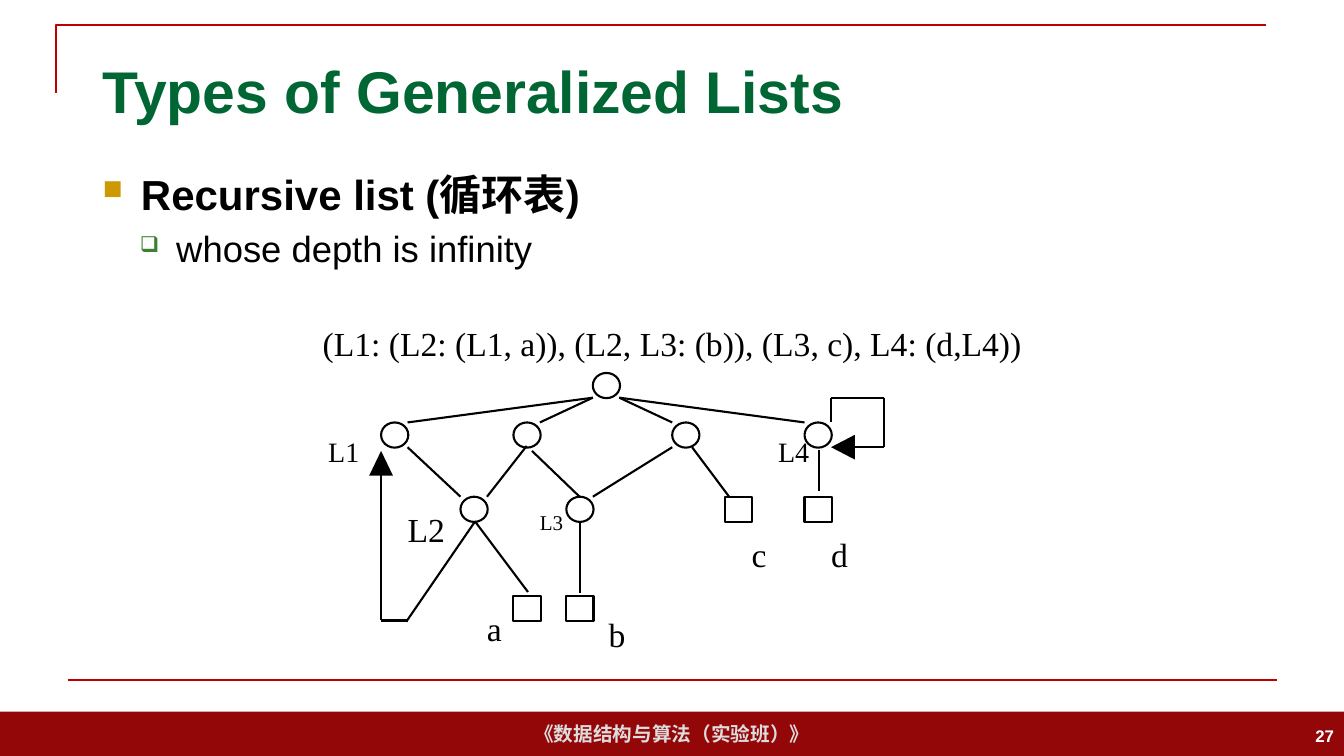
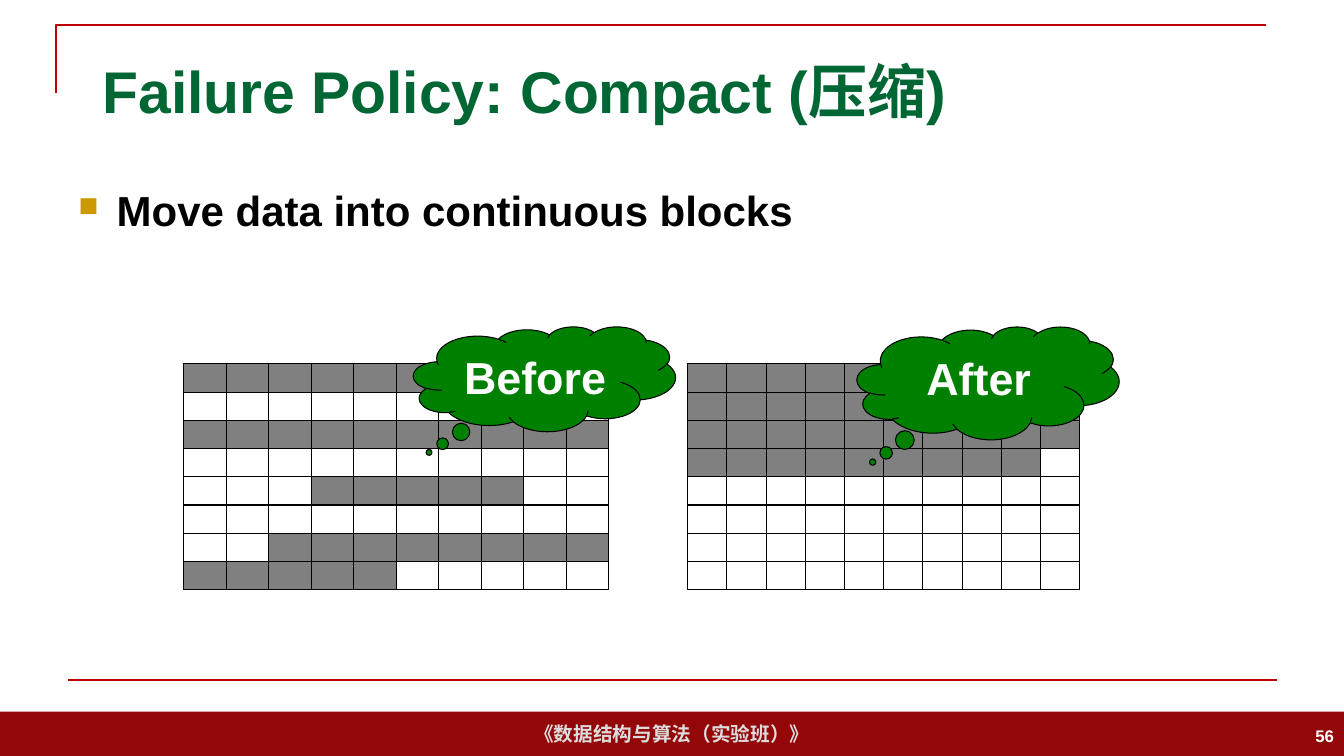
from lxml.etree import SubElement
from pptx import Presentation
from pptx.dml.color import RGBColor
from pptx.enum.shapes import MSO_CONNECTOR, MSO_SHAPE
from pptx.enum.text import MSO_ANCHOR, PP_ALIGN
from pptx.oxml.ns import qn
from pptx.util import Inches, Pt

BLACK = RGBColor(0x00, 0x00, 0x00)
WHITE = RGBColor(0xFF, 0xFF, 0xFF)
RULE_RED = RGBColor(0xC0, 0x00, 0x00)
BAND_RED = RGBColor(0x94, 0x07, 0x09)
BAND_TEXT = RGBColor(0xDD, 0xDD, 0xDD)
TITLE_GREEN = RGBColor(0x00, 0x66, 0x33)
CLOUD_GREEN = RGBColor(0x00, 0x80, 0x00)
BULLET_GOLD = RGBColor(0xCC, 0x99, 0x00)
BULLET_GREEN = RGBColor(0x3B, 0x81, 0x2F)
USED_GRAY = RGBColor(0x80, 0x80, 0x80)

SANS = "Arial"
SERIF = "Times New Roman"
BULLETS = [
    ("■", BULLET_GOLD, 65, 0.38, 0.38, 30, True),
    ("❑", BULLET_GREEN, 60, 0.73, 0.36, 26, False),
]


class Deck:
    def __init__(self):
        self.presentation = Presentation()
        self.presentation.slide_width = Inches(13.33)
        self.presentation.slide_height = Inches(7.5)
        self.slide = None

    def new_slide(self, title, number):
        layout = self.presentation.slide_layouts[6]
        self.slide = self.presentation.slides.add_slide(layout)
        band = self.shape(MSO_SHAPE.RECTANGLE, (0, 7.06, 13.33, 0.44), BAND_RED)
        band.text_frame.vertical_anchor = MSO_ANCHOR.MIDDLE
        self.style_text(band.text_frame.paragraphs[0], "《数据结构与算法（实验班）》",
                        14, BAND_TEXT, True, align=PP_ALIGN.CENTER)
        self.outline([(0.56, 0.92), (0.56, 0.25), (12.56, 0.25)],
                     line=RULE_RED)
        self.line((0.67, 6.75), (12.67, 6.75), RULE_RED)
        self.text((0.92, 0.4, 11.5, 0.99), title, 42, TITLE_GREEN, True)
        self.text((10.33, 7.1, 3, 0.4), number, 12, WHITE, True,
                  align=PP_ALIGN.RIGHT)

    def style_text(self, paragraph, text, size, color, bold=False, font=SANS,
                   align=PP_ALIGN.LEFT):
        paragraph.text = text
        paragraph.alignment = align
        paragraph.font.name = font
        paragraph.font.size = Pt(size)
        paragraph.font.bold = bold
        paragraph.font.color.rgb = color

    def text_frame(self, box, anchor):
        frame = self.slide.shapes.add_textbox(*map(Inches, box)).text_frame
        frame.word_wrap = True
        frame.vertical_anchor = anchor
        return frame

    def text(self, box, text, size, color, bold=False, align=PP_ALIGN.LEFT):
        frame = self.text_frame(box, MSO_ANCHOR.MIDDLE)
        self.style_text(frame.paragraphs[0], text, size, color, bold, align=align)

    def label(self, box, text, size):
        frame = self.text_frame(box, MSO_ANCHOR.TOP)
        frame.margin_left = frame.margin_right = 0
        frame.margin_top = frame.margin_bottom = 0
        self.style_text(frame.paragraphs[0], text, size, BLACK, font=SERIF)

    def bullets(self, box, items):
        frame = self.text_frame(box, MSO_ANCHOR.TOP)
        for index, (level, text) in enumerate(items):
            paragraph = frame.add_paragraph() if index else frame.paragraphs[0]
            mark, color, percent, indent, hanging, size, bold = BULLETS[level]
            properties = paragraph._p.get_or_add_pPr()
            properties.set("marL", str(Inches(indent)))
            properties.set("indent", str(-Inches(hanging)))
            bullet_color = SubElement(properties, qn("a:buClr"))
            SubElement(bullet_color, qn("a:srgbClr"), val=str(color))
            SubElement(properties, qn("a:buSzPct"), val=str(percent * 1000))
            SubElement(properties, qn("a:buChar"), char=mark)
            paragraph.level = level
            paragraph.space_before = Pt(size * 0.2)
            self.style_text(paragraph, text, size, BLACK, bold)

    def paint(self, shape, fill, line, width):
        shape.shadow.inherit = False
        if fill is None:
            shape.fill.background()
        else:
            shape.fill.solid()
            shape.fill.fore_color.rgb = fill
        if line is None:
            shape.line.fill.background()
        else:
            shape.line.color.rgb = line
            shape.line.width = Pt(width)
        return shape

    def shape(self, kind, box, fill=None, line=None, width=1.5):
        shape = self.slide.shapes.add_shape(kind, *map(Inches, box))
        return self.paint(shape, fill, line, width)

    def outline(self, points, fill=None, line=None, closed=False):
        corners = [(Inches(x), Inches(y)) for x, y in points]
        builder = self.slide.shapes.build_freeform(*corners[0])
        builder.add_line_segments(corners[1:], close=closed)
        return self.paint(builder.convert_to_shape(), fill, line, 1.5)

    def line(self, start, end, color=BLACK, width=1.5):
        connector = self.slide.shapes.add_connector(
            MSO_CONNECTOR.STRAIGHT, *map(Inches, (*start, *end)))
        connector.line.color.rgb = color
        connector.line.width = Pt(width)
        SubElement(connector._element.spPr, qn("a:effectLst"))

    def memory(self, left, cell_width, used_blocks):
        top, cell_height, columns, rows = 3.61, 0.28, 10, 8
        right = left + columns * cell_width
        bottom = top + rows * cell_height
        for row, column, row_count, column_count in used_blocks:
            box = (left + column * cell_width, top + row * cell_height,
                   column_count * cell_width, row_count * cell_height)
            self.shape(MSO_SHAPE.RECTANGLE, box, USED_GRAY, BLACK, 0.75)
        self.shape(MSO_SHAPE.RECTANGLE, (left, top, right - left, bottom - top),
                   line=BLACK, width=0.75)
        for row in range(1, rows):
            y = top + row * cell_height
            self.line((left, y), (right, y), width=0.75)
        for column in range(1, columns):
            x = left + column * cell_width
            self.line((x, top), (x, bottom), width=0.75)

    def cloud(self, box, text):
        cloud = self.shape(MSO_SHAPE.CLOUD_CALLOUT, box, CLOUD_GREEN, BLACK, 0.75)
        cloud.adjustments[0] = -0.44
        cloud.adjustments[1] = 0.7
        frame = cloud.text_frame
        frame.vertical_anchor = MSO_ANCHOR.TOP
        frame.margin_left = frame.margin_right = Inches(0.13)
        frame.margin_top = frame.margin_bottom = Inches(0.07)
        self.style_text(frame.paragraphs[0], text, 32, WHITE, True,
                        align=PP_ALIGN.CENTER)


def tree_point(column, row):
    return 3.78 + column * 2.1 / 8, 3.7 + row * 2.21 / 9


def recursive_list(deck):
    deck.new_slide("Types of Generalized Lists", "27")
    deck.bullets((0.92, 1.62, 11.5, 1.3), [
        (0, "Recursive list (循环表)"),
        (1, "whose depth is infinity"),
    ])
    lists = [(8, 0), (0, 2), (5, 2), (11, 2), (16, 2), (3, 5), (7, 5)]
    atoms = [(5, 9), (7, 9), (13, 5), (16, 5)]
    for kind, nodes in ((MSO_SHAPE.OVAL, lists), (MSO_SHAPE.RECTANGLE, atoms)):
        for node in nodes:
            deck.shape(kind, (*tree_point(*node), 0.27, 0.25), line=BLACK)
    routes = [
        [(8, 1), (1, 2)],
        [(8, 1), (6, 2)],
        [(9, 1), (11, 2)],
        [(9, 1), (16, 2)],
        [(1, 3), (3, 5)],
        [(5.5, 2.95), (4, 5)],
        [(5.7, 3.15), (7.5, 5)],
        [(11, 3), (8, 5)],
        [(11.75, 3), (13.15, 5)],
        [(16.55, 3.1), (16.55, 4.75)],
        [(3.55, 6), (5.55, 8.85)],
        [(7.5, 6), (7.5, 8.9)],
        [(3.55, 6), (0.95, 10.05)],
        [(1, 10), (0, 10), (0, 4.1)],
        [(17, 2), (17, 1), (19, 1), (19, 3), (17.9, 3)],
    ]
    for route in routes:
        for start, end in zip(route, route[1:]):
            deck.line(tree_point(*start), tree_point(*end))
    arrowheads = [
        [(0.45, 4.15), (0, 3.15), (-0.45, 4.15)],
        [(17.9, 2.5), (17, 3), (17.9, 3.5)],
    ]
    for corners in arrowheads:
        deck.outline([tree_point(*corner) for corner in corners],
                     fill=BLACK, closed=True)
    formula = "(L1: (L2: (L1, a)), (L2, L3: (b)), (L3, c), L4: (d,L4))"
    deck.label((3.2, 3.2, 7.2, 0.4), formula, 24)
    labels = [
        ("L1", -2, 2.5, 20), ("L4", 15, 2.5, 20), ("L2", 1, 5.5, 24),
        ("L3", 6, 5.5, 15), ("a", 4, 9.5, 24), ("b", 8.6, 9.75, 24),
        ("c", 14, 6.5, 24), ("d", 17, 6.5, 24),
    ]
    for text, column, row, size in labels:
        deck.label((*tree_point(column, row), 0.5, 0.4), text, size)


def compact_policy(deck):
    deck.new_slide("Failure Policy: Compact (压缩)", "56")
    deck.bullets((0.68, 1.78, 12, 0.71),
                 [(0, "Move data into continuous blocks")])
    deck.memory(1.82, 4.22 / 10, [
        (0, 0, 1, 6), (2, 0, 1, 10), (4, 3, 1, 5), (6, 2, 1, 8), (7, 0, 1, 5),
    ])
    deck.memory(6.82, 3.89 / 10, [(0, 0, 3, 10), (3, 0, 1, 9)])
    deck.cloud((4.1, 3.24, 2.6, 1.04), "Before")
    deck.cloud((8.5, 3.24, 2.6, 1.12), "After")


def main():
    deck = Deck()
    recursive_list(deck)
    compact_policy(deck)
    deck.presentation.save("out.pptx")


if __name__ == "__main__":
    main()
